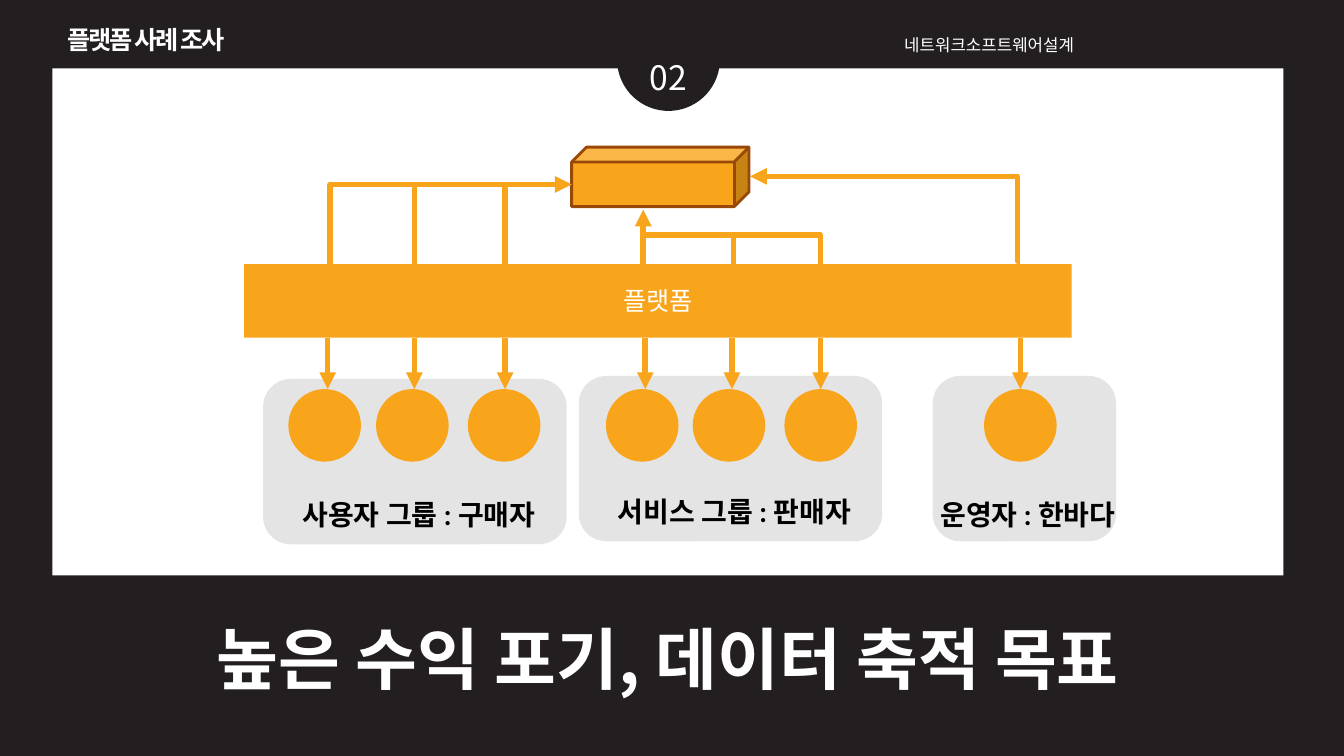
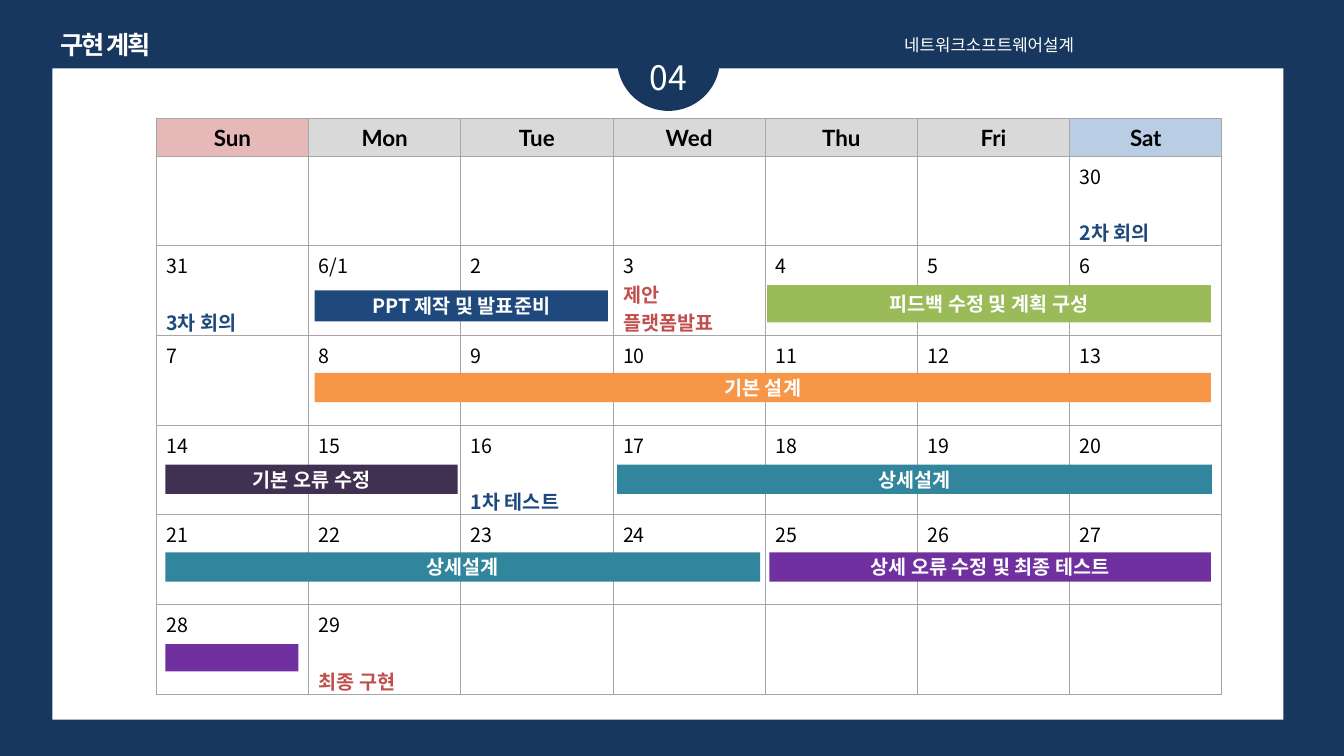
import pptx
import pptx.dml.color
import pptx.enum.shapes
import pptx.enum.text
import pptx.oxml
import pptx.oxml.ns
import pptx.util
import lxml.etree

Inches = pptx.util.Inches
Pt = pptx.util.Pt
RGBColor = pptx.dml.color.RGBColor
SHAPE = pptx.enum.shapes.MSO_SHAPE
CONNECTOR = pptx.enum.shapes.MSO_CONNECTOR
ALIGN = pptx.enum.text.PP_ALIGN
ANCHOR = pptx.enum.text.MSO_ANCHOR
qn = pptx.oxml.ns.qn

INK = RGBColor(0x23, 0x1F, 0x20)
NAVY = RGBColor(0x17, 0x37, 0x5E)
WHITE = RGBColor(0xFF, 0xFF, 0xFF)
BLACK = RGBColor(0, 0, 0)
ORANGE = RGBColor(0xF9, 0xA5, 0x1B)
BROWN = RGBColor(0x98, 0x48, 0x07)
GREY = RGBColor(0xD9, 0xD9, 0xD9)
RULE = RGBColor(0xA6, 0xA6, 0xA6)
ROSE = RGBColor(0xE6, 0xB9, 0xB8)
SKY = RGBColor(0xB9, 0xCD, 0xE5)
BLUE = RGBColor(0x1F, 0x49, 0x7D)
RED = RGBColor(0xC0, 0x50, 0x4D)
GREEN = RGBColor(0x9B, 0xBB, 0x59)
TANGERINE = RGBColor(0xF7, 0x96, 0x46)
PLUM = RGBColor(0x40, 0x31, 0x52)
TEAL = RGBColor(0x31, 0x85, 0x9C)
PURPLE = RGBColor(0x70, 0x30, 0xA0)

HANGUL = "Noto Sans CJK KR"
LATIN = "Lato"

TITLE = {"name": HANGUL, "size": Pt(18), "bold": True}
NUMBER = {"name": HANGUL, "size": Pt(24)}
COURSE = {"name": HANGUL, "size": Pt(12)}
PLATFORM = {"name": LATIN, "size": Pt(18)}
GROUP = {"name": LATIN, "size": Pt(20), "bold": True}
MESSAGE = {"name": HANGUL, "size": Pt(48), "bold": True}
WEEKDAY = {"name": LATIN, "size": Pt(16), "bold": True}
DATE = {"name": HANGUL, "size": Pt(14), "bold": False}
EVENT = {"name": HANGUL, "size": Pt(14), "bold": True}


class Deck:
    def __init__(self):
        self.show = pptx.Presentation()
        self.show.slide_width = Inches(13.33)
        self.show.slide_height = Inches(7.5)
        self.slide = None

    def page(self, title, title_box, number, ground, panel_height):
        self.slide = self.show.slides.add_slide(self.show.slide_layouts[6])
        fill = self.slide.background.fill
        fill.solid()
        fill.fore_color.rgb = ground
        self.shape(SHAPE.RECTANGLE, (0.52, 0.68, 12.21, panel_height), WHITE)
        self.shape(SHAPE.OVAL, (6.12, 0.08, 1.02, 1.02), ground)
        self.text(title, title_box, TITLE, wrap=False, spacing=-1.5)
        self.text(number, (6.04, 0.52, 1.18, 0.5), NUMBER)
        self.text("네트워크소프트웨어설계", (8.87, 0.3, 3.94, 0.3), COURSE,
                  align=ALIGN.JUSTIFY)

    def words(self, paragraph, words, style, color, align, spacing=0):
        paragraph.alignment = align
        run = paragraph.add_run()
        run.text = words
        for attribute, value in style.items():
            setattr(run.font, attribute, value)
        run.font.color.rgb = color
        properties = run.font._element
        if spacing:
            properties.set("spc", str(round(spacing * 100)))
        latin = properties.find(qn("a:latin"))
        east_asian = latin.makeelement(qn("a:ea"), {"typeface": HANGUL})
        latin.addnext(east_asian)

    def text(self, words, box, style, color=WHITE, align=ALIGN.CENTER,
             wrap=True, spacing=0):
        frame = self.slide.shapes.add_textbox(*map(Inches, box)).text_frame
        frame.word_wrap = wrap
        self.words(frame.paragraphs[0], words, style, color, align, spacing)

    def shape(self, kind, box, fill, words="", style=None, outline=None, opacity=None):
        shape = self.slide.shapes.add_shape(kind, *map(Inches, box))
        shape.shadow.inherit = False
        shape.fill.solid()
        shape.fill.fore_color.rgb = fill
        if opacity:
            tint = shape._element.spPr.find(qn("a:solidFill"))[0]
            lxml.etree.SubElement(tint, qn("a:alpha"), val=str(opacity * 1000))
        if outline:
            shape.line.color.rgb = outline
            shape.line.width = Pt(2)
        else:
            shape.line.fill.background()
        if words:
            frame = shape.text_frame
            frame.word_wrap = True
            frame.vertical_anchor = ANCHOR.MIDDLE
            self.words(frame.paragraphs[0], words, style, WHITE, ALIGN.CENTER)

    def link(self, start, end, arrow=False, bend=None):
        kind = CONNECTOR.STRAIGHT if bend is None else CONNECTOR.ELBOW
        link = self.slide.shapes.add_connector(kind, *map(Inches, start + end))
        link.line.color.rgb = ORANGE
        link.line.width = Pt(4)
        properties = link._element.spPr
        if bend is not None:
            guides = properties.find(qn("a:prstGeom")).get_or_add_avLst()
            lxml.etree.SubElement(guides, qn("a:gd"), name="adj1",
                                  fmla=f"val {round(bend * 100000)}")
        if arrow:
            lxml.etree.SubElement(properties.find(qn("a:ln")), qn("a:tailEnd"),
                                  type="triangle")
        lxml.etree.SubElement(properties, qn("a:effectLst"))

    def table(self, box, row_heights, column_count):
        table = self.slide.shapes.add_table(
            len(row_heights), column_count, *map(Inches, box)).table
        table.first_row = table.horz_banding = False
        for column in table.columns:
            column.width = Inches(box[2] / column_count)
        for row, height in zip(table.rows, row_heights):
            row.height = Inches(height)
        return table

    def cell(self, cell, fill, lines=(), align=ALIGN.LEFT, gap=0):
        cell.fill.solid()
        cell.fill.fore_color.rgb = fill
        properties = cell._tc.get_or_add_tcPr()
        for index, side in enumerate(("lnL", "lnR", "lnT", "lnB")):
            border = properties.makeelement(qn(f"a:{side}"), {"w": str(int(Pt(0.75)))})
            paint = lxml.etree.SubElement(border, qn("a:solidFill"))
            lxml.etree.SubElement(paint, qn("a:srgbClr"), val=str(RULE))
            properties.insert(index, border)
        frame = cell.text_frame
        for index, (words, style, color) in enumerate(lines):
            paragraph = frame.add_paragraph() if index else frame.paragraphs[0]
            if index and gap:
                paragraph.space_before = Pt(gap)
            self.words(paragraph, words, style, color, align)


def platform_slide(deck):
    deck.page("플랫폼 사례 조사", (0.47, 0.19, 1.96, 0.4), "02", INK, 5.03)
    groups = (
        ("사용자 그룹 : 구매자", (2.61, 3.76, 3.01, 1.64), (2.79, 4.89)),
        ("서비스 그룹 : 판매자", (5.74, 3.73, 3.01, 1.64), (5.92, 4.86)),
        ("운영자 : 한바다", (9.25, 3.73, 1.82, 1.64), (8.83, 4.89)),
    )
    for _, area, _ in groups:
        deck.shape(SHAPE.ROUNDED_RECTANGLE, area, GREY, opacity=71)
    deck.shape(SHAPE.RECTANGLE, (2.42, 2.62, 8.21, 0.73), ORANGE, "플랫폼", PLATFORM)
    deck.shape(SHAPE.CUBE, (5.67, 1.46, 1.76, 0.59), ORANGE, outline=BROWN)
    members = ((2.86, 3.25), (3.73, 4.11), (4.64, 5.01), (6.01, 6.4),
               (6.87, 7.26), (7.78, 8.14), (9.76, 10.12))
    for left, arrow_x in members:
        deck.shape(SHAPE.OVAL, (left, 3.86, 0.72, 0.72), ORANGE)
        deck.link((arrow_x, 3.35), (arrow_x, 3.86), arrow=True)
    deck.link((3.25, 2.62), (5.67, 1.83), arrow=True, bend=0.01)
    deck.link((10.12, 2.59), (7.44, 1.75), arrow=True, bend=0.01)
    deck.link((6.38, 2.65), (6.38, 2.08), arrow=True)
    for seller_x in (7.26, 8.12):
        deck.link((seller_x, 2.95), (seller_x - 0.86, 2.33), bend=-0.02)
    for buyer_x in (4.11, 5.01):
        deck.link((buyer_x, 1.83), (buyer_x, 2.81))
    for label, _, corner in groups:
        deck.text(label, corner + (2.73, 0.36), GROUP, BLACK)
    deck.text("높은 수익 포기, 데이터 축적 목표", (0.52, 6.07, 12.21, 0.91), MESSAGE)


def schedule_slide(deck):
    deck.page("구현 계획", (0.45, 0.24, 1.2, 0.4), "04", NAVY, 6.46)
    weekdays = ("Sun", "Mon", "Tue", "Wed", "Thu", "Fri", "Sat")
    weekend = {"Sun": ROSE, "Sat": SKY}
    calendar = deck.table((1.55, 1.18, 10.57, 5.7), [0.37] + [0.89] * 6, len(weekdays))
    for column, weekday in enumerate(weekdays):
        deck.cell(calendar.cell(0, column), weekend.get(weekday, GREY),
                  [(weekday, WEEKDAY, BLACK)], ALIGN.CENTER)

    events = {
        "30": (BLUE, ["2차 회의"]),
        "31": (BLUE, ["3차 회의"]),
        "3": (RED, ["제안", "플랫폼발표"]),
        "16": (BLUE, ["1차 테스트"]),
        "29": (RED, ["최종 구현"]),
    }
    dates = [""] * 6 + ["30", "31", "6/1"] + [str(day) for day in range(2, 30)]
    dates += [""] * (42 - len(dates))
    for position, date in enumerate(dates):
        week, column = divmod(position, len(weekdays))
        day_cell = calendar.cell(week + 1, column)
        day_cell.margin_bottom = 0
        color, notes = events.get(date, (BLACK, []))
        lines = [(date, DATE, BLACK)] if date else []
        lines += [(note, EVENT, color) for note in notes]
        deck.cell(day_cell, WHITE, lines, gap=20 if len(notes) == 1 else 0)

    tasks = (
        ("PPT 제작 및 발표준비", (3.12, 2.88, 2.91, 0.31), BLUE),
        ("피드백 수정 및 계획 구성", (7.61, 2.83, 4.4, 0.37), GREEN),
        ("기본 설계", (3.12, 3.7, 8.89, 0.29), TANGERINE),
        ("기본 오류 수정", (1.64, 4.61, 2.9, 0.29), PLUM),
        ("상세설계", (6.12, 4.61, 5.9, 0.29), TEAL),
        ("상세설계", (1.64, 5.48, 5.9, 0.29), TEAL),
        ("상세 오류 수정 및 최종 테스트", (7.63, 5.48, 4.38, 0.29), PURPLE),
        ("", (1.64, 6.39, 1.32, 0.27), PURPLE),
    )
    for task, bar, color in tasks:
        deck.shape(SHAPE.RECTANGLE, bar, color, task, EVENT)


def main():
    deck = Deck()
    platform_slide(deck)
    schedule_slide(deck)
    deck.show.save("out.pptx")


if __name__ == "__main__":
    main()
